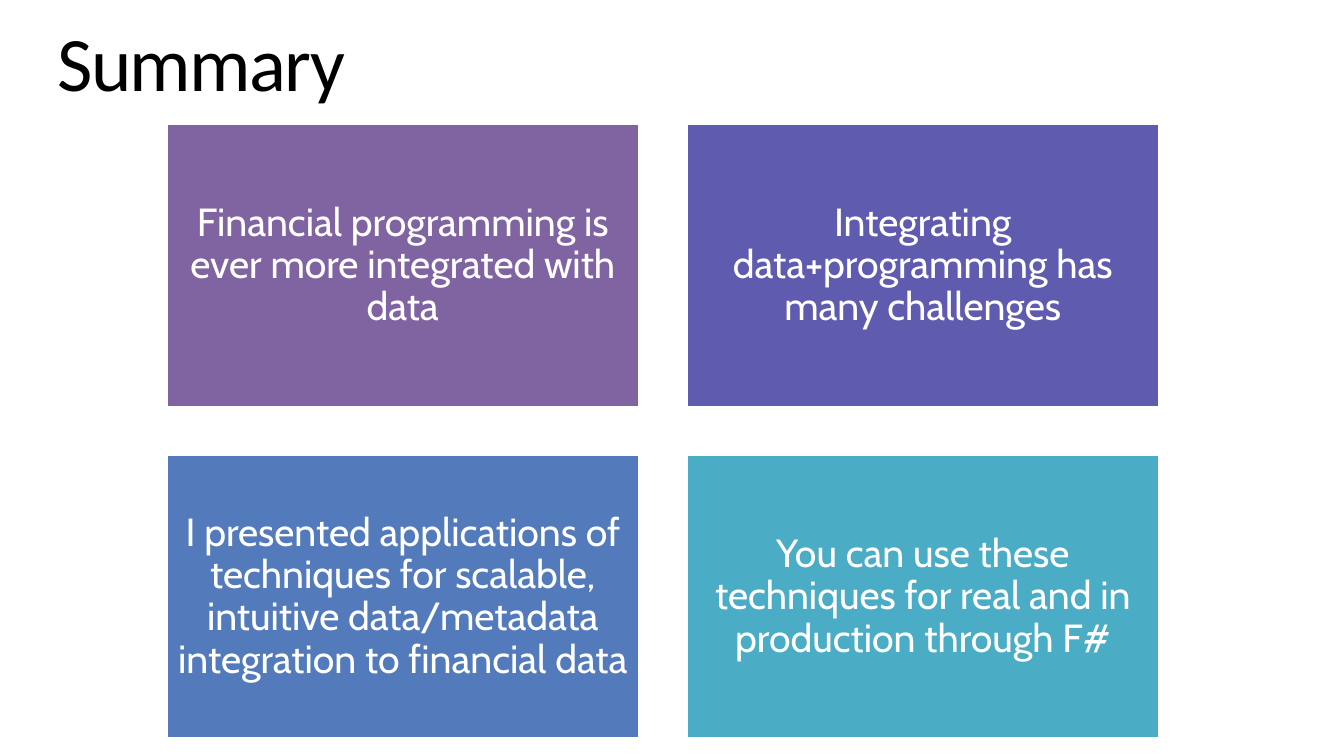
import pptx
import pptx.dml.color
import pptx.enum.shapes
import pptx.enum.text
import pptx.util

Cm = pptx.util.Cm
Pt = pptx.util.Pt
RGBColor = pptx.dml.color.RGBColor

BLACK = RGBColor(0x00, 0x00, 0x00)
WHITE = RGBColor(0xFF, 0xFF, 0xFF)
PURPLE = RGBColor(0x80, 0x64, 0xA2)
INDIGO = RGBColor(0x5F, 0x5B, 0xAE)
BLUE = RGBColor(0x53, 0x7A, 0xBA)
TEAL = RGBColor(0x4B, 0xAC, 0xC6)

TITLE_FONT = {"name": "Calibri", "size": Pt(55), "color": BLACK}
CARD_FONT = {"name": "Cabin", "size": Pt(28), "color": WHITE}
COLUMNS = 2
GAP = Cm(1.19)

CARDS = [
    ("Financial programming is ever more integrated with data", PURPLE),
    ("Integrating data+programming has many challenges", INDIGO),
    ("I presented applications of techniques for scalable, intuitive "
     "data/metadata integration to financial data", BLUE),
    ("You can use these techniques for real and in production through F#", TEAL),
]


def write_text(shape, text, font_format, margin, anchor, alignment):
    """Write one formatted paragraph into a shape and return its run."""
    frame = shape.text_frame
    frame_format = {
        "word_wrap": True,
        "vertical_anchor": anchor,
        "margin_left": margin,
        "margin_top": margin,
        "margin_right": margin,
        "margin_bottom": margin,
    }
    for name, value in frame_format.items():
        setattr(frame, name, value)
    paragraph = frame.paragraphs[0]
    paragraph.alignment = alignment
    paragraph.line_spacing = 0.9
    run = paragraph.add_run()
    run.text = text
    for name, value in font_format.items():
        if name == "color":
            run.font.color.rgb = value
        else:
            setattr(run.font, name, value)
    return run


def add_title(slide, text, left, top, width, height):
    """Place the slightly tightened slide title in the given box."""
    shape = slide.shapes.add_textbox(left, top, width, height)
    run = write_text(shape, text, TITLE_FONT, 0,
                     pptx.enum.text.MSO_ANCHOR.TOP, pptx.enum.text.PP_ALIGN.LEFT)
    run.font._element.set("spc", "-120")


def add_card(slide, text, color, left, top, width, height):
    """Place one coloured summary card in the given box."""
    shape = slide.shapes.add_shape(
        pptx.enum.shapes.MSO_SHAPE.RECTANGLE, left, top, width, height)
    shape.shadow.inherit = False
    shape.fill.solid()
    shape.fill.fore_color.rgb = color
    shape.line.color.rgb = WHITE
    shape.line.width = Pt(2)
    write_text(shape, text, CARD_FONT, Cm(0.28),
               pptx.enum.text.MSO_ANCHOR.MIDDLE, pptx.enum.text.PP_ALIGN.CENTER)


def add_card_grid(slide, cards, left, top, width, height):
    """Spread the cards over an evenly spaced grid in the given box."""
    rows = -(-len(cards) // COLUMNS)
    card_width = (width - GAP * (COLUMNS - 1)) // COLUMNS
    card_height = (height - GAP * (rows - 1)) // rows
    for index, (text, color) in enumerate(cards):
        row, column = divmod(index, COLUMNS)
        add_card(slide, text, color,
                 left + column * (card_width + GAP),
                 top + row * (card_height + GAP),
                 card_width, card_height)


def main():
    """Build and save the summary slide."""
    presentation = pptx.Presentation()
    presentation.slide_width = Cm(33.87)
    presentation.slide_height = Cm(19.05)
    slide = presentation.slides.add_slide(presentation.slide_layouts[6])
    add_card_grid(slide, CARDS, Cm(4.19), Cm(3.12), Cm(25.02), Cm(15.5))
    add_title(slide, "Summary", Cm(1.45), Cm(0.64), Cm(30.96), Cm(2.11))
    presentation.save("out.pptx")


if __name__ == "__main__":
    main()
